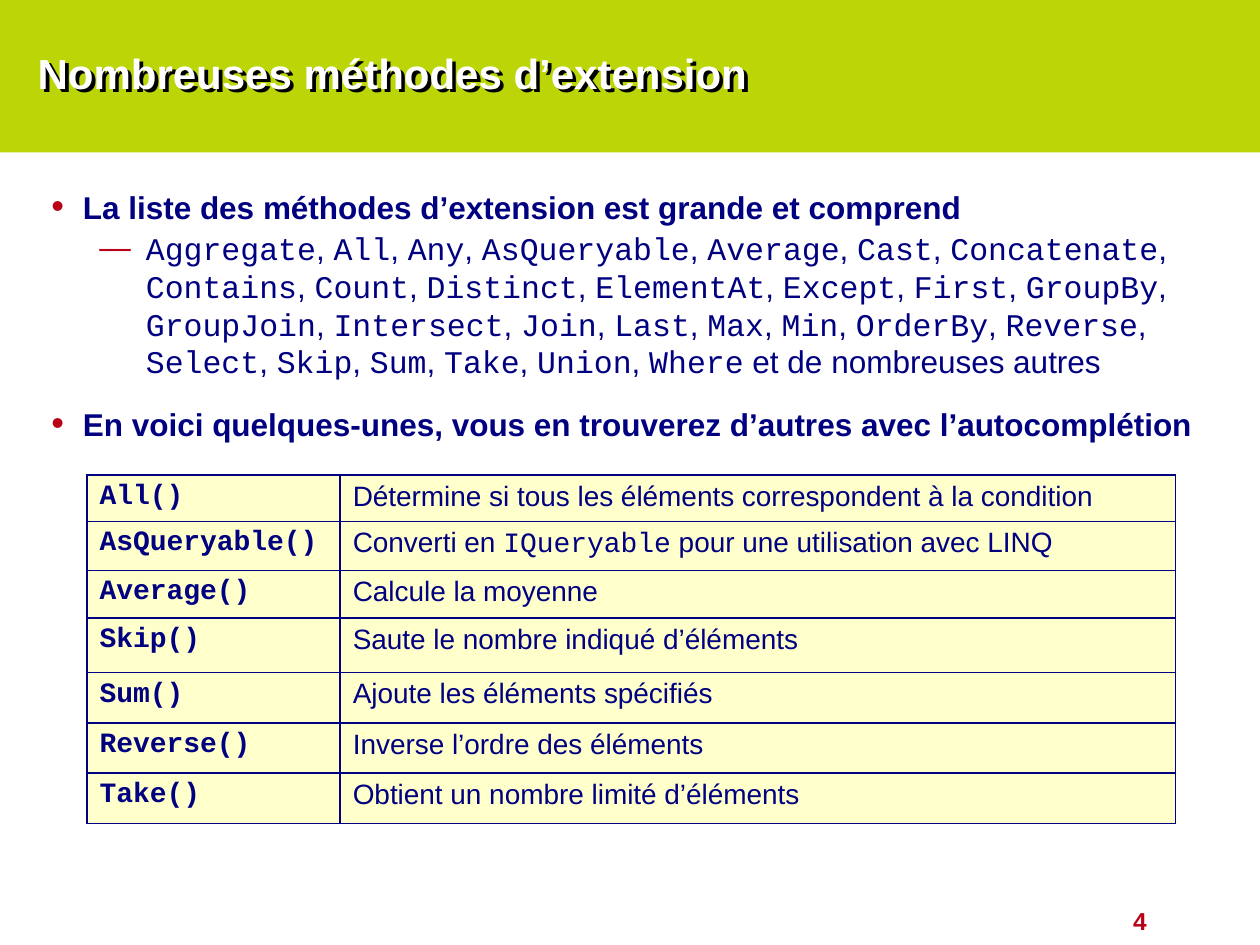
"""Build a slide listing extension methods, with a table of examples."""
import pptx
import pptx.util
import pptx.dml.color
import pptx.enum.shapes
import pptx.enum.text
import pptx.oxml
import pptx.oxml.ns
from pptx.util import Inches

RGB = pptx.dml.color.RGBColor
LIME = RGB(0xBC, 0xD5, 0x07)
WHITE = RGB(0xFF, 0xFF, 0xFF)
NAVY = RGB(0x00, 0x00, 0x80)
RED = RGB(0xB9, 0x01, 0x17)
CREAM = RGB(0xFF, 0xFF, 0xCC)
SANS, MONO = "Arial", "Courier New"
NS = pptx.oxml.ns.nsdecls("a")

TITLE = "Nombreuses méthodes d’extension"
NAMES = """Aggregate All Any AsQueryable Average Cast Concatenate Contains
Count Distinct ElementAt Except First GroupBy GroupJoin Intersect Join Last
Max Min OrderBy Reverse Select Skip Sum Take Union Where""".split()
LISTED = ", ".join(f"`{name}`" for name in NAMES)
TOP = dict(bold=True, left=0.25, hang=0.25, mark="•", scale=115)
SUB = dict(left=0.75, hang=0.37, mark="—", before=2)
BODY = [
    ("La liste des méthodes d’extension est grande et comprend", TOP),
    (LISTED + " et de nombreuses autres", SUB),
    ("En voici quelques-unes, vous en trouverez d’autres avec l’autocomplétion",
     dict(TOP, before=14)),
]
ROWS = [
    (0.36, "All()", "Détermine si tous les éléments correspondent à la condition"),
    (0.39, "AsQueryable()",
     "Converti en `IQueryable` pour une utilisation avec LINQ"),
    (0.38, "Average()", "Calcule la moyenne"),
    (0.43, "Skip()", "Saute le nombre indiqué d’éléments"),
    (0.40, "Sum()", "Ajoute les éléments spécifiés"),
    (0.40, "Reverse()", "Inverse l’ordre des éléments"),
    (0.40, "Take()", "Obtient un nombre limité d’éléments"),
]
COLS = [2.01, 6.63]


def write(para, text, size=18, color=NAVY, bold=False, align=None, before=0,
          left=0, hang=0, mark=None, scale=100):
    """Fill a paragraph; parts between backticks are set as code."""
    if mark:
        props = para._p.get_or_add_pPr()
        props.set("marL", str(Inches(left)))
        props.set("indent", str(-Inches(hang)))
        for part in (f'<a:buClr {NS}><a:srgbClr val="{RED}"/></a:buClr>',
                     f'<a:buSzPct {NS} val="{scale * 1000}"/>',
                     f'<a:buFont {NS} typeface="{SANS}"/>',
                     f'<a:buChar {NS} char="{mark}"/>'):
            props.append(pptx.oxml.parse_xml(part))
    para.alignment = align
    para.space_before = pptx.util.Pt(before)
    for num, part in enumerate(text.split("`")):
        if part:
            run = para.add_run()
            run.text = part
            font = run.font
            font.name = MONO if num % 2 else SANS
            font.size = pptx.util.Pt(size)
            font.bold = bold
            font.color.rgb = color


def add_box(slide, *place):
    """Add a wrapping text box."""
    box = slide.shapes.add_textbox(*map(Inches, place))
    box.text_frame.word_wrap = True
    return box


def add_grid(slide):
    """Add the table of methods."""
    tall = sum(row[0] for row in ROWS)
    grid = slide.shapes.add_table(
        len(ROWS), len(COLS), Inches(0.69), Inches(3.77),
        Inches(sum(COLS)), Inches(tall)).table
    grid.first_row = grid.horz_banding = False
    for col, wide in zip(grid.columns, COLS):
        col.width = Inches(wide)
    for row, (high, name, note) in zip(grid.rows, ROWS):
        row.height = Inches(high)
        for cell, text, bold in zip(row.cells, (f"`{name}`", note), (True, False)):
            props = cell._tc.get_or_add_tcPr()
            for side in "LRTB":
                props.append(pptx.oxml.parse_xml(
                    f'<a:ln{side} {NS} w="12700"><a:solidFill>'
                    f'<a:srgbClr val="{NAVY}"/></a:solidFill></a:ln{side}>'))
            cell.fill.solid()
            cell.fill.fore_color.rgb = CREAM
            write(cell.text_frame.paragraphs[0], text, size=16, bold=bold)


def main():
    """Draw the slide and save it."""
    deck = pptx.Presentation()
    deck.slide_width, deck.slide_height = Inches(10), Inches(7.5)
    slide = deck.slides.add_slide(deck.slide_layouts[6])
    slide.background.fill.solid()
    slide.background.fill.fore_color.rgb = LIME

    panel = slide.shapes.add_shape(
        pptx.enum.shapes.MSO_SHAPE.RECTANGLE, 0, Inches(1.21),
        Inches(10), Inches(6.29))
    panel.shadow.inherit = False
    panel.fill.solid()
    panel.fill.fore_color.rgb = WHITE
    panel.line.fill.background()

    page = add_box(slide, 7.62, 7.14, 1.58, 0.33)
    write(page.text_frame.paragraphs[0], "4", size=14, color=RED, bold=True,
          align=pptx.enum.text.PP_ALIGN.RIGHT)

    title = add_box(slide, 0.2, 0.18, 8.52, 0.79)
    title.text_frame.vertical_anchor = pptx.enum.text.MSO_ANCHOR.MIDDLE
    write(title.text_frame.paragraphs[0], TITLE, size=24, color=WHITE, bold=True)
    title._element.spPr.append(pptx.oxml.parse_xml(
        f'<a:effectLst {NS}><a:outerShdw dist="38100" dir="2700000">'
        '<a:srgbClr val="000000"/></a:outerShdw></a:effectLst>'))

    frame = add_box(slide, 0.31, 1.44, 9.4, 2.14).text_frame
    for num, (text, form) in enumerate(BODY):
        para = frame.add_paragraph() if num else frame.paragraphs[0]
        write(para, text, **form)

    add_grid(slide)
    deck.save("out.pptx")


if __name__ == "__main__":
    main()
